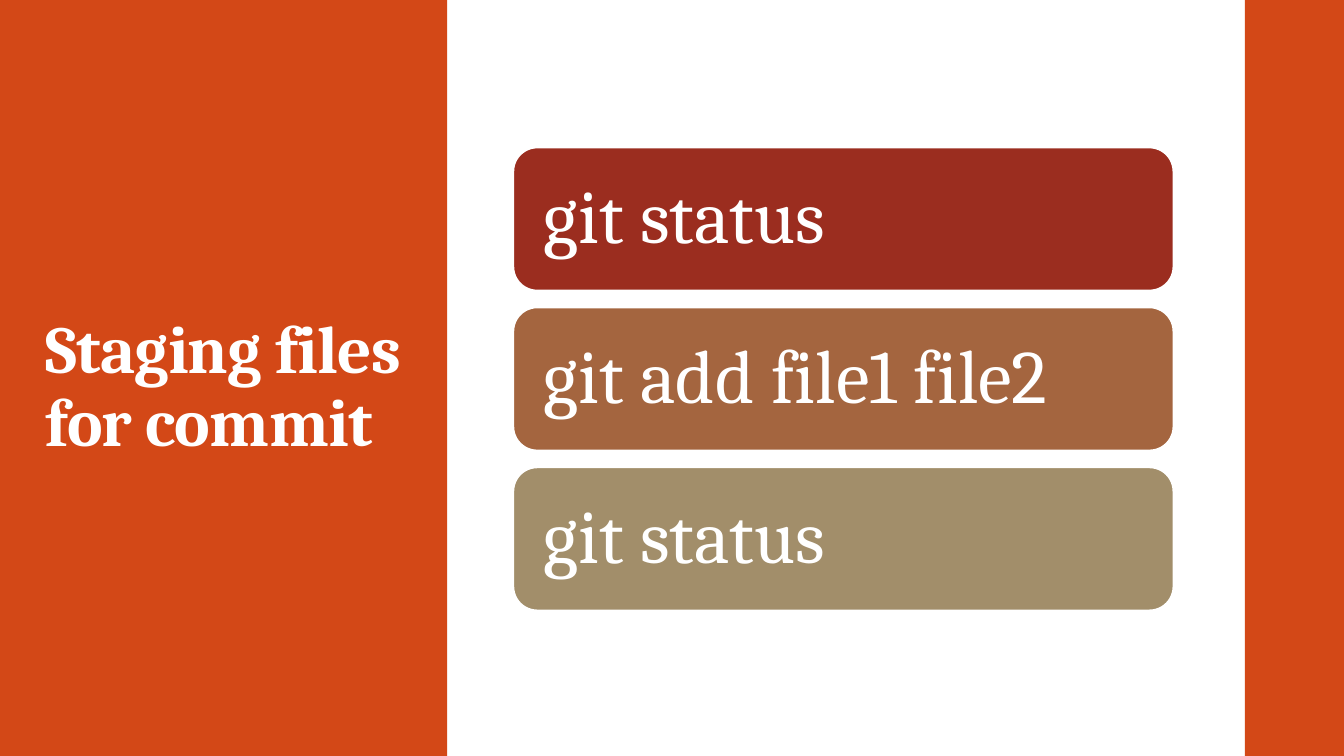
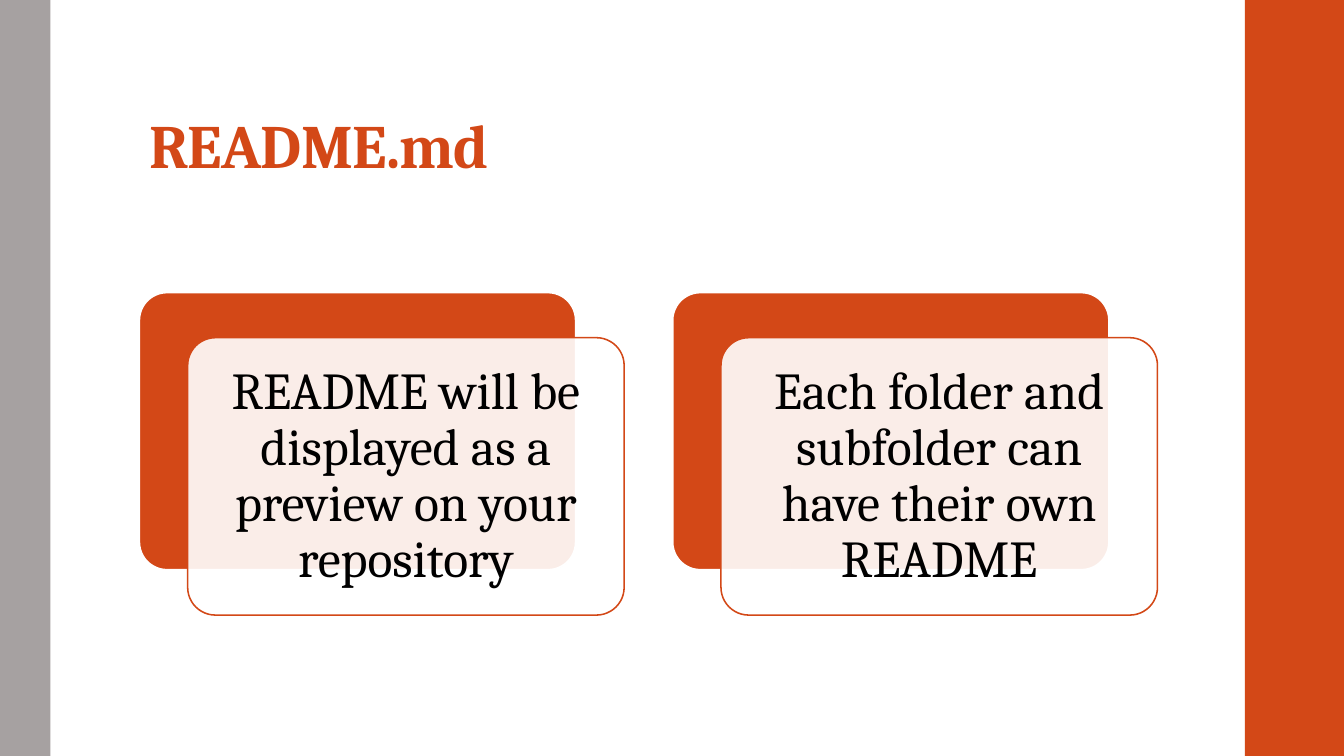
from lxml import etree
from pptx import Presentation
from pptx.dml.color import RGBColor
from pptx.enum.shapes import MSO_SHAPE
from pptx.enum.text import MSO_ANCHOR, MSO_AUTO_SIZE, PP_ALIGN
from pptx.oxml.ns import qn
from pptx.util import Cm, Pt

RECT, ROUND = MSO_SHAPE.RECTANGLE, MSO_SHAPE.ROUNDED_RECTANGLE
MIDDLE, BOTTOM = MSO_ANCHOR.MIDDLE, MSO_ANCHOR.BOTTOM
LEFT, CENTER = PP_ALIGN.LEFT, PP_ALIGN.CENTER
NO_AUTOFIT = MSO_AUTO_SIZE.NONE

ORANGE = RGBColor(0xD3, 0x48, 0x17)
GREY = RGBColor(0xA6, 0xA1, 0xA1)
RED = RGBColor(0x9B, 0x2D, 0x1F)
BROWN = RGBColor(0xA4, 0x65, 0x3F)
KHAKI = RGBColor(0xA2, 0x8E, 0x6A)
WHITE = RGBColor(0xFF, 0xFF, 0xFF)
BLACK = RGBColor(0, 0, 0)
FONT = "Cambria"

# Content
STAGING_TITLE = "Staging files for commit"
COMMANDS = [
    ("git status", RED),
    ("git add file1 file2", BROWN),
    ("git status", KHAKI),
]
README_TITLE = "README.md"
README_NOTES = [
    "README will be displayed as a preview on your repository",
    "Each folder and subfolder can have their own README",
]

# Geometry in centimetres
SLIDE_W, SLIDE_H = 33.87, 19.05
RIGHT_BAND = (31.37, 0, 2.5, SLIDE_H)
LEFT_BAND = (0, 0, 1.27, SLIDE_H)
TITLE_PANEL = (0, 0, 11.27, SLIDE_H)
BAR_X, BAR_Y, BAR_W, BAR_H, BAR_STEP = 12.94, 3.72, 16.63, 3.6, 4.03
CARD_X, CARD_Y, CARD_W, CARD_H, CARD_STEP = 3.51, 7.37, 11, 6.99, 13.44
CARD_SHIFT_X, CARD_SHIFT_Y = 1.22, 1.14


def write(sp, text, size, color, bold=False, align=LEFT, anchor=MIDDLE,
          insets=(0.25, 0.08, 0.25, 0.13), spacing=None):
    tf = sp.text_frame
    tf.word_wrap = True
    tf.auto_size = NO_AUTOFIT
    tf.vertical_anchor = anchor
    (tf.margin_left, tf.margin_top,
     tf.margin_right, tf.margin_bottom) = map(Cm, insets)
    p = tf.paragraphs[0]
    p.alignment = align
    p.line_spacing = 0.9
    r = p.add_run()
    r.text = text
    r.font.name, r.font.size, r.font.bold = FONT, Pt(size), bold
    r.font.color.rgb = color
    if spacing is not None:
        r.font._element.set("spc", str(round(spacing * 100)))


def add_box(s, box, fill, kind=RECT, line=None, line_width=1.1,
            radius=None, opacity=None):
    sp = s.shapes.add_shape(kind, *map(Cm, box))
    sp.shadow.inherit = False
    sp.fill.solid()
    sp.fill.fore_color.rgb = fill
    if line is None:
        sp.line.fill.background()
    else:
        sp.line.color.rgb = line
        sp.line.width = Pt(line_width)
    if radius is not None:
        sp.adjustments[0] = radius
    if opacity is not None:
        clr = sp._element.spPr.find(qn("a:solidFill"))[0]
        etree.SubElement(clr, qn("a:alpha"), val=str(opacity * 1000))
    return sp


def add_slide(prs, title, box, size, color, left_band, left_fill, anchor):
    s = prs.slides.add_slide(prs.slide_layouts[5])
    add_box(s, left_band, left_fill)
    add_box(s, RIGHT_BAND, ORANGE)
    sp = s.shapes.title
    sp.left, sp.top, sp.width, sp.height = map(Cm, box)
    write(sp, title, size, color, bold=True, anchor=anchor, spacing=-0.5)
    s.shapes._spTree.append(sp._element)  # title in front of the bands
    return s


def build_staging(prs):
    s = add_slide(prs, STAGING_TITLE, (0.89, 2.31, 9.68, 15.01), 48, WHITE,
                  TITLE_PANEL, ORANGE, MIDDLE)
    # One bar per command
    for i, (command, fill) in enumerate(COMMANDS):
        box = (BAR_X, BAR_Y + i * BAR_STEP, BAR_W, BAR_H)
        sp = add_box(s, box, fill, ROUND, line=WHITE)
        write(sp, command, 54, WHITE, insets=(0.58,) * 4)


def build_readme(prs):
    s = add_slide(prs, README_TITLE, (3.51, 0.81, 26.92, 3.89), 44, ORANGE,
                  LEFT_BAND, GREY, BOTTOM)
    # Each note is a translucent card over an orange one
    for i, note in enumerate(README_NOTES):
        x = CARD_X + i * CARD_STEP
        add_box(s, (x, CARD_Y, CARD_W, CARD_H), ORANGE, ROUND,
                line=WHITE, line_width=1.35, radius=0.1)
        front = (x + CARD_SHIFT_X, CARD_Y + CARD_SHIFT_Y, CARD_W, CARD_H)
        sp = add_box(s, front, WHITE, ROUND, line=ORANGE, radius=0.1,
                     opacity=90)
        write(sp, note, 37, BLACK, align=CENTER, insets=(0.38,) * 4)


def main():
    prs = Presentation()
    prs.slide_width, prs.slide_height = Cm(SLIDE_W), Cm(SLIDE_H)
    build_staging(prs)
    build_readme(prs)
    prs.save("out.pptx")


if __name__ == "__main__":
    main()
